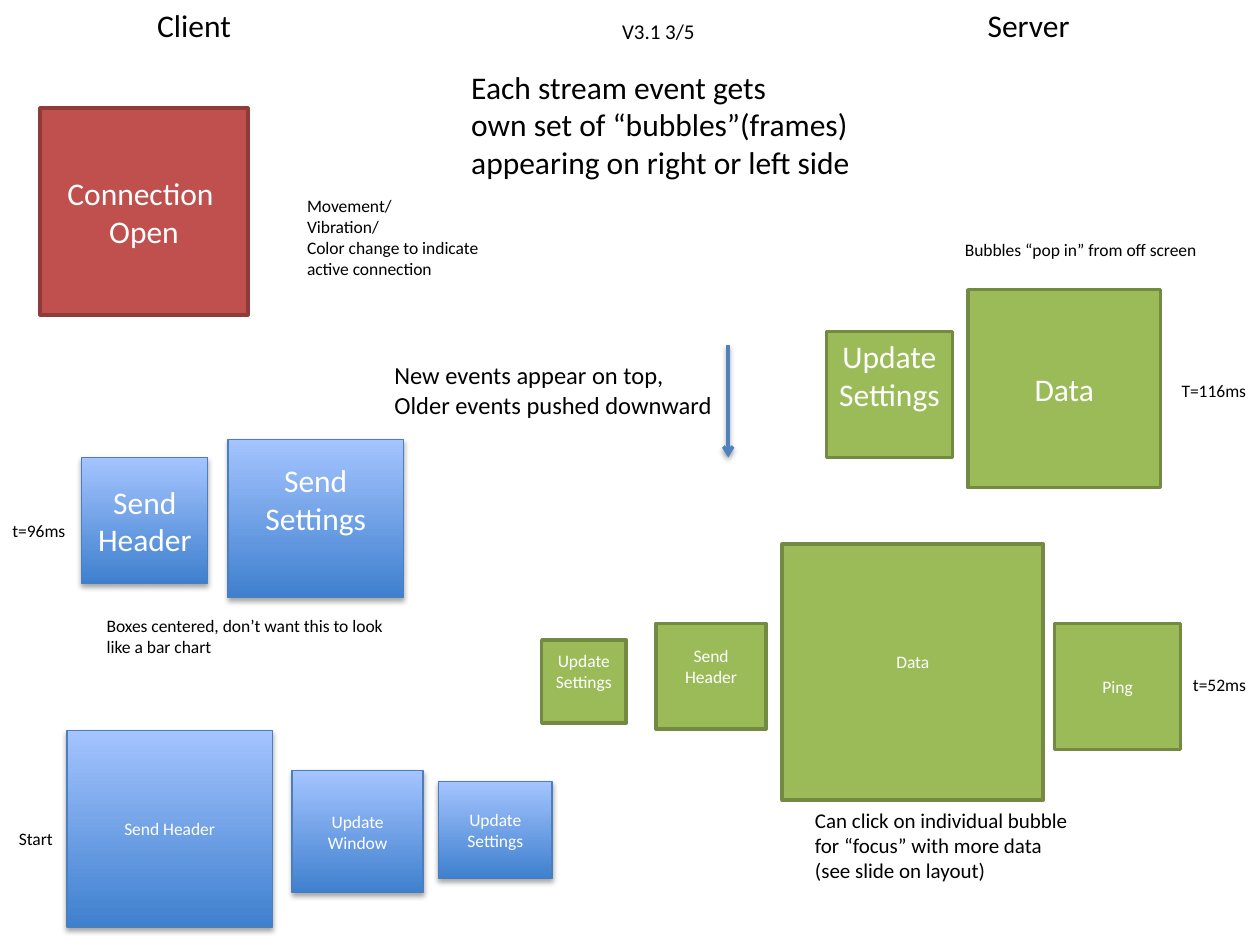
from lxml import etree
from pptx import Presentation
from pptx.dml.color import RGBColor
from pptx.enum.shapes import MSO_CONNECTOR, MSO_SHAPE
from pptx.enum.text import MSO_ANCHOR, MSO_AUTO_SIZE, PP_ALIGN
from pptx.oxml.ns import qn
from pptx.util import Cm, Pt

RECTANGLE = MSO_SHAPE.RECTANGLE
STRAIGHT = MSO_CONNECTOR.STRAIGHT
MIDDLE = MSO_ANCHOR.MIDDLE
CENTER = PP_ALIGN.CENTER
FIT_TEXT = MSO_AUTO_SIZE.SHAPE_TO_FIT_TEXT

FONT = "Calibri"
BLACK = RGBColor(0x00, 0x00, 0x00)
WHITE = RGBColor(0xFF, 0xFF, 0xFF)
RED = RGBColor(0xC0, 0x50, 0x4D)
RED_EDGE = RGBColor(0x8E, 0x3B, 0x39)
GREEN = RGBColor(0x9B, 0xBB, 0x59)
GREEN_EDGE = RGBColor(0x73, 0x8A, 0x42)
BLUE_DARK = RGBColor(0x3F, 0x80, 0xCE)
BLUE_LIGHT = RGBColor(0xA4, 0xC4, 0xFF)
BLUE_EDGE = RGBColor(0x4B, 0x7E, 0xBC)
ARROW_BLUE = RGBColor(0x4F, 0x81, 0xBD)

# Labels: left, top, width, height (cm), size (pt), text
LABELS = [
    (2.92, 0, 2.03, 1.02, 18, "Client"),
    (19.66, 0, 2.18, 1.02, 18, "Server"),
    (12.29, 0.25, 1.98, 0.76, 12, "V3.1 3/5"),
    # Times of the events
    (23.8, 13.46, 1.6, 1.12, 10, "t=52ms"),
    (0, 10.36, 1.6, 0.69, 10, "t=96ms"),
    (23.57, 7.54, 1.83, 0.69, 10, "T=116ms"),
    (0.13, 16.56, 1.22, 0.69, 10, "Start"),
    # Design remarks
    (9.25, 1.24, 8.31, 2.57, 18,
     "Each stream event gets\nown set of “bubbles”(frames)\n"
     "appearing on right or left side"),
    (7.7, 7.14, 6.98, 1.45, 14,
     "New events appear on top,\nOlder events pushed downward"),
    (5.94, 3.81, 4.04, 2.39, 10,
     "Movement/\nVibration/\nColor change to indicate\nactive connection"),
    (19.2, 4.7, 5.26, 0.69, 10, "Bubbles “pop in” from off screen"),
    (16.18, 16.15, 5.66, 1.8, 12,
     "Can click on individual bubble\vfor “focus” with more data\n"
     "(see slide on layout)"),
    (1.9, 12.27, 6.22, 1.12, 10,
     "Boxes centered, don’t want this to look \vlike a bar chart"),
]

# Bubbles: left, top, width, height (cm), size (pt), text, text raised
CLIENT_BUBBLES = [
    (1.65, 9.22, 2.54, 2.54, 18, "Send\nHeader", False),
    (4.6, 8.86, 3.53, 3.18, 18, "Send\vSettings", True),
    (1.35, 14.73, 4.14, 3.96, 10, "Send Header", False),
    (5.89, 15.54, 2.64, 2.46, 10, "Update\vWindow", False),
    (8.84, 15.75, 2.29, 1.96, 10, "Update\vSettings", False),
]
SERVER_BUBBLES = [
    (16.66, 6.68, 2.54, 2.54, 18, "Update\nSettings", True),
    (19.51, 5.84, 3.89, 3.99, 18, "Data", False),
    (10.92, 12.9, 1.7, 1.68, 10, "Update\nSettings", True),
    (13.23, 12.57, 2.21, 2.13, 10, "Send\nHeader", True),
    (15.77, 10.97, 5.26, 5.16, 10, "Data", True),
    (21.26, 12.57, 2.54, 2.54, 10, "Ping", False),
]
CONNECTION_BUBBLE = (0.81, 2.18, 4.19, 4.17, 18, "Connection \nOpen", False)


def write(frame, text, size, color, align=None):
    frame.text = text
    for paragraph in frame.paragraphs:
        paragraph.alignment = align
        for run in paragraph.runs:
            run.font.name = FONT
            run.font.size = Pt(size)
            run.font.color.rgb = color


def add_label(slide, left, top, width, height, size, text):
    label = slide.shapes.add_textbox(Cm(left), Cm(top), Cm(width), Cm(height))
    label.text_frame.word_wrap = False
    label.text_frame.auto_size = FIT_TEXT
    write(label.text_frame, text, size, BLACK)


def add_bubble(slide, left, top, width, height, size, text, raised,
               edge, edge_width):
    bubble = slide.shapes.add_shape(
        RECTANGLE, Cm(left), Cm(top), Cm(width), Cm(height))
    bubble.shadow.inherit = False
    bubble.line.color.rgb = edge
    bubble.line.width = Pt(edge_width)
    frame = bubble.text_frame
    frame.word_wrap = True
    frame.vertical_anchor = MIDDLE
    frame.margin_left = frame.margin_right = Cm(0.1)
    if raised:  # leave one line free below the text
        frame.margin_bottom = Cm(0.13) + Pt(size * 1.22)
    write(frame, text, size, WHITE, CENTER)
    return bubble


def add_flat_bubble(slide, bubble_row, fill, edge):
    bubble = add_bubble(slide, *bubble_row, edge, 2)
    bubble.fill.solid()
    bubble.fill.fore_color.rgb = fill


def add_client_bubble(slide, bubble_row):
    bubble = add_bubble(slide, *bubble_row, BLUE_EDGE, 0.75)
    bubble.fill.gradient()
    bubble.fill.gradient_angle = 90
    for stop, color in zip(bubble.fill.gradient_stops, (BLUE_DARK, BLUE_LIGHT)):
        stop.color.rgb = color
    drop_shadow(bubble, 1.8, 35)


def drop_shadow(shape, distance, opacity):
    properties = shape._element.spPr
    effects = properties.find(qn("a:effectLst"))
    if effects is None:
        effects = etree.SubElement(properties, qn("a:effectLst"))
    shadow = etree.SubElement(
        effects, qn("a:outerShdw"), blurRad=str(Pt(3.1)),
        dist=str(Pt(distance)), dir="5400000", rotWithShape="0")
    color = etree.SubElement(shadow, qn("a:srgbClr"), val=str(BLACK))
    etree.SubElement(color, qn("a:alpha"), val=str(opacity * 1000))


def add_down_arrow(slide, x, top, bottom):
    arrow = slide.shapes.add_connector(
        STRAIGHT, Cm(x), Cm(top), Cm(x), Cm(bottom))
    arrow.line.color.rgb = ARROW_BLUE
    arrow.line.width = Pt(2)
    etree.SubElement(arrow.line._get_or_add_ln(), qn("a:tailEnd"), type="arrow")
    drop_shadow(arrow, 1.6, 38)


def main():
    deck = Presentation()
    deck.slide_width, deck.slide_height = Cm(25.4), Cm(19.05)
    slide = deck.slides.add_slide(deck.slide_layouts[6])

    # Headings, times and remarks
    for label in LABELS:
        add_label(slide, *label)
    add_down_arrow(slide, 14.68, 6.96, 9.22)

    # Stream events on the client and server sides
    add_flat_bubble(slide, CONNECTION_BUBBLE, RED, RED_EDGE)
    for bubble in CLIENT_BUBBLES:
        add_client_bubble(slide, bubble)
    for bubble in SERVER_BUBBLES:
        add_flat_bubble(slide, bubble, GREEN, GREEN_EDGE)

    deck.save("out.pptx")


if __name__ == "__main__":
    main()
